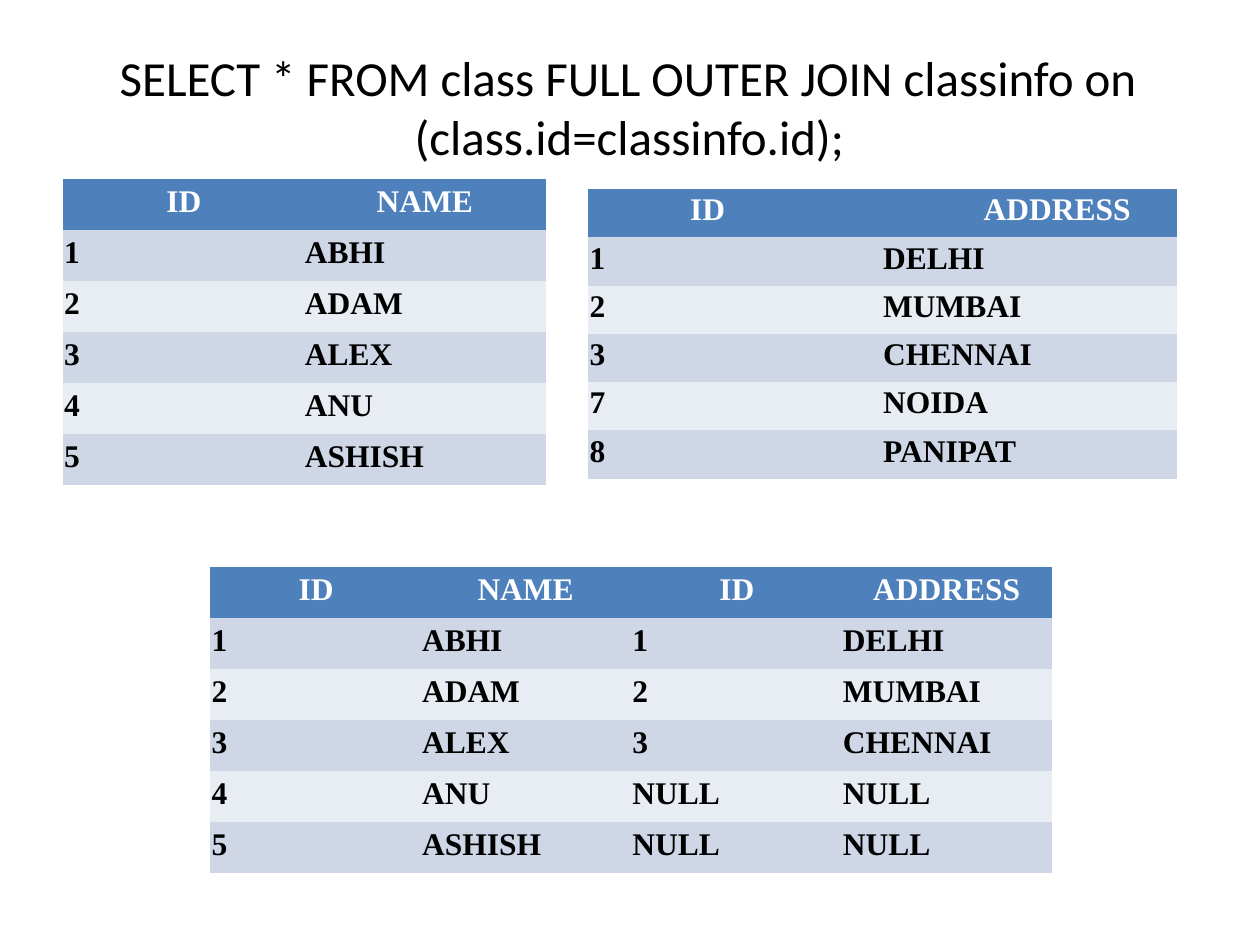
from lxml import etree
from pptx import Presentation
from pptx.dml.color import RGBColor
from pptx.enum.text import PP_ALIGN
from pptx.oxml.ns import qn
from pptx.util import Inches, Pt

CENTER = PP_ALIGN.CENTER
NO_STYLE = "{2D5ABB26-0587-4C30-8999-92F81FD0307C}"
COLORS = {
    "header": "4E80BC",
    "odd_row": "CFD7E7",
    "even_row": "E8ECF3",
    "header_text": "FFFFFF",
    "text": "000000",
}


def style_paragraph(paragraph, font_name, size, bold, color, indent, space_before):
    paragraph.space_before = Pt(space_before)
    paragraph._p.get_or_add_pPr().set("marL", str(Inches(indent)))
    for run in paragraph.runs:
        run.font.name = font_name
        run.font.size = Pt(size)
        run.font.bold = bold
        run.font.color.rgb = RGBColor.from_string(COLORS[color])


def add_data_table(slide, position, height, widths, rows, indents, top_margin, space_before):
    left, top = position
    table = slide.shapes.add_table(
        len(rows), len(widths), Inches(left), Inches(top), Inches(sum(widths)), Inches(height)
    ).table
    table._tbl.tblPr.find(qn("a:tableStyleId")).text = NO_STYLE
    table.horz_banding = False
    for column, width in zip(table.columns, widths):
        column.width = Inches(width)
    for row_index, values in enumerate(rows):
        table.rows[row_index].height = Inches(height / len(rows))
        if row_index == 0:
            fill, color = "header", "header_text"
        else:
            fill, color = ("odd_row" if row_index % 2 else "even_row"), "text"
        row_indents = indents[min(row_index, 1)]
        for column_index, (value, indent) in enumerate(zip(values, row_indents)):
            cell = table.cell(row_index, column_index)
            cell.margin_left = cell.margin_right = cell.margin_bottom = 0
            cell.margin_top = Inches(top_margin)
            cell.fill.solid()
            cell.fill.fore_color.rgb = RGBColor.from_string(COLORS[fill])
            if value:
                cell.text_frame.text = value
                style_paragraph(cell.text_frame.paragraphs[0], "Times New Roman", 18, True,
                                color, indent, space_before)
    return table


presentation = Presentation()
presentation.slide_width = Inches(10)
presentation.slide_height = Inches(7.5)
slide = presentation.slides.add_slide(presentation.slide_layouts[6])

title = slide.shapes.add_textbox(Inches(0.94), Inches(0.35), Inches(8.11), Inches(0.96))
title_frame = title.text_frame
title_frame.word_wrap = True
title_frame.margin_left = title_frame.margin_right = title_frame.margin_bottom = 0
title_frame.margin_top = Inches(0.03)
title_frame.text = "SELECT * FROM class FULL OUTER JOIN classinfo on (class.id=classinfo.id);"
title_paragraph = title_frame.paragraphs[0]
title_paragraph.line_spacing = Pt(33.5)
style_paragraph(title_paragraph, "Calibri", 28, False, "text", 2.35, 2.1)
title_paragraph._p.get_or_add_pPr().set("indent", str(Inches(-2.34)))

names = ["ABHI", "ADAM", "ALEX", "ANU", "ASHISH"]
addresses = {"1": "DELHI", "2": "MUMBAI", "3": "CHENNAI", "7": "NOIDA", "8": "PANIPAT"}
class_rows = [["", "ID", "NAME"]]
joined_rows = [["", "ID", "NAME", "ID", "ADDRESS"]]
for number, name in enumerate(names, start=1):
    key = str(number)
    class_rows.append([key, "", name])
    matched_key = key if key in addresses else "NULL"
    joined_rows.append([key, "", name, matched_key, addresses.get(key, "NULL")])
address_rows = [["ID\tADDRESS", ""]] + [list(item) for item in addresses.items()]

add_data_table(slide, (0.5, 1.42), 2.43, [0.48, 1.03, 2.32], class_rows,
               [[0, 0.34, 0.98], [0.01, 0, 0.41]], 0.04, 2.7)

address_table = add_data_table(slide, (4.67, 1.5), 2.3, [0.58, 4.09], address_rows,
                               [[0.44, 0], [0.01, 1.76]], 0.03, 1.9)
address_header = address_table.cell(0, 0)
address_header.merge(address_table.cell(0, 1))
header_paragraph = address_header.text_frame.paragraphs[0]
header_paragraph.alignment = CENTER
tab_list = etree.SubElement(header_paragraph._p.get_or_add_pPr(), qn("a:tabLst"))
etree.SubElement(tab_list, qn("a:tab"), pos=str(Inches(2.33)), algn="l")

add_data_table(slide, (1.67, 4.5), 2.43, [0.42, 0.91, 1.79, 1.55, 2.01], joined_rows,
               [[0, 0.28, 0.79, 0.92, 0.59], [0.01, 0, 0.35, 0.23, 0.35]], 0.04, 2.7)

presentation.save("out.pptx")
